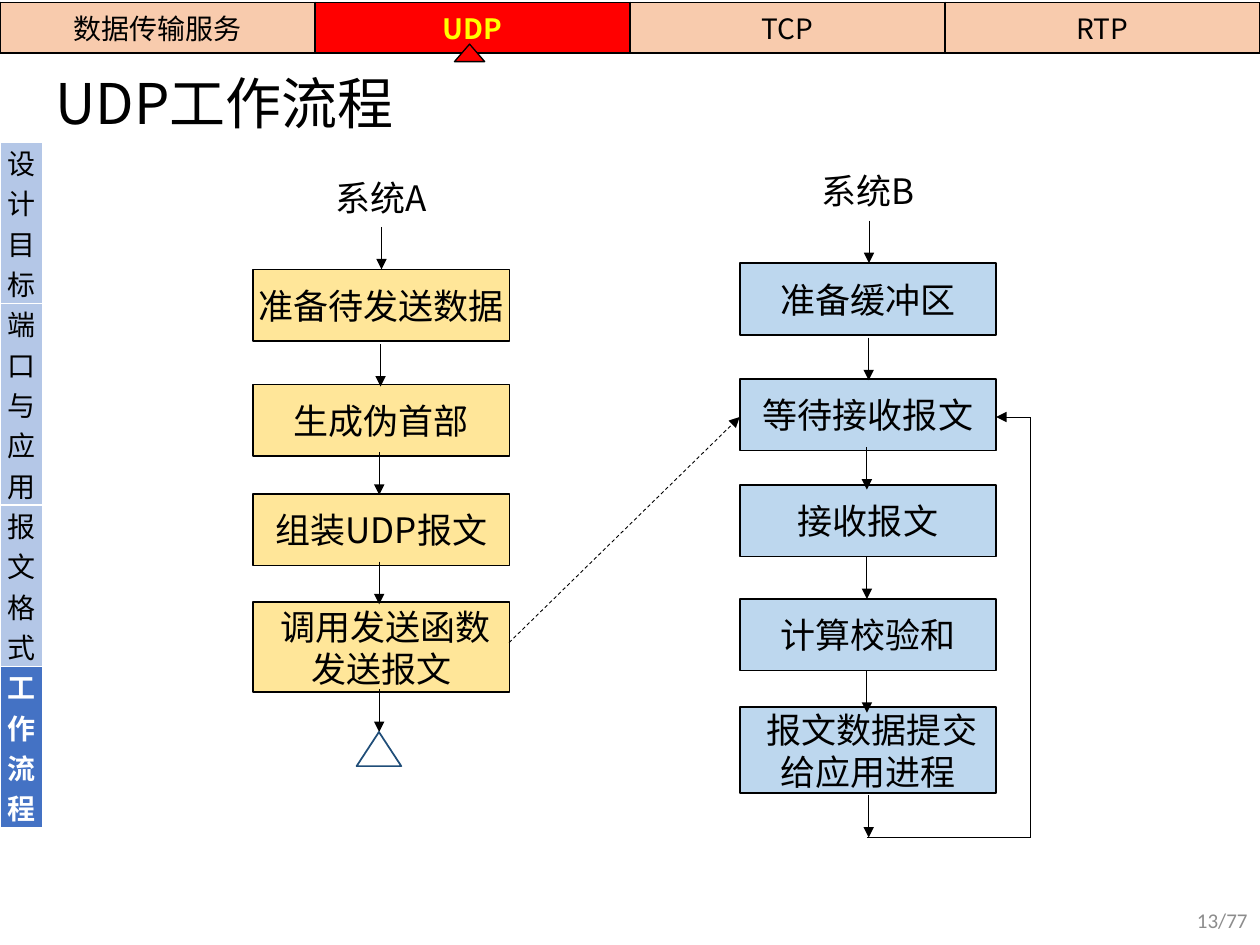
from lxml import etree
from pptx import Presentation
from pptx import util as u
from pptx.dml.color import RGBColor
from pptx.enum import dml, shapes, text
from pptx.oxml import ns

COLORS = {
    "black": "000000", "white": "FFFFFF", "yellow": "FFFF00", "red": "FF0000",
    "peach": "F8CBAD", "pale": "B4C7E7", "blue": "4472C4", "cream": "FFE699",
    "sky": "BDD7EE", "navy": "1F4D78", "gray": "8C8C8C",
}
CJK = "Noto Sans CJK SC"
BOX_W, BOX_H, BOX_INSET = 146.4, 41, 2
ARROW = 24.3


def rgb(name):
    return RGBColor.from_string(COLORS[name])


def sub(parent, tag, **attrs):
    return etree.SubElement(parent, ns.qn(tag), attrs)


def write(tf, content, size=20, color="black", bold=False, font=CJK,
          align=text.PP_ALIGN.CENTER, spacing=None):
    p = tf.paragraphs[0]
    p.alignment = align
    if spacing:
        p.line_spacing = spacing
    r = p.add_run()
    r.text = content
    r.font.size = u.Pt(size)
    r.font.bold = bold
    r.font.name = font
    r.font.color.rgb = rgb(color)
    sub(r._r.get_or_add_rPr(), "a:ea", typeface=font)


class Deck:
    def __init__(self, width, height):
        self.prs = Presentation()
        self.prs.slide_width, self.prs.slide_height = u.Pt(width), u.Pt(height)
        self.s = self.prs.slides.add_slide(self.prs.slide_layouts[6])

    def shape(self, kind, x, y, w, h, fill=None, line="black", weight=1):
        sp = self.s.shapes.add_shape(kind, u.Pt(x), u.Pt(y), u.Pt(w), u.Pt(h))
        sp.shadow.inherit = False
        if fill:
            sp.fill.solid()
            sp.fill.fore_color.rgb = rgb(fill)
        else:
            sp.fill.background()
        sp.line.color.rgb = rgb(line)
        sp.line.width = u.Pt(weight)
        return sp

    def frame(self, sp, side, top):
        tf = sp.text_frame
        tf.word_wrap = True
        tf.vertical_anchor = text.MSO_ANCHOR.MIDDLE
        tf.margin_left = tf.margin_right = u.Pt(side)
        tf.margin_top = tf.margin_bottom = u.Pt(top)
        return tf

    def box(self, content, x, y, fill, h=BOX_H):
        sp = self.shape(shapes.MSO_SHAPE.RECTANGLE, x, y, BOX_W, h, fill)
        write(self.frame(sp, BOX_INSET, 0), content)

    def label(self, content, x, y, w, h, side=7.2, top=3.6, **style):
        sp = self.s.shapes.add_textbox(u.Pt(x), u.Pt(y), u.Pt(w), u.Pt(h))
        write(self.frame(sp, side, top), content, **style)

    def line(self, x1, y1, x2, y2, arrow=True, dash=False):
        c = self.s.shapes.add_connector(
            shapes.MSO_CONNECTOR.STRAIGHT, u.Pt(x1), u.Pt(y1), u.Pt(x2), u.Pt(y2))
        c.line.color.rgb = rgb("black")
        c.line.width = u.Pt(0.5)
        if dash:
            c.line.dash_style = dml.MSO_LINE.DASH
        if arrow:
            sub(c.line._get_or_add_ln(), "a:tailEnd", type="triangle")
        sub(c._element.spPr, "a:effectLst")

    def table(self, rows, x, y, w, h, border):
        tbl = self.s.shapes.add_table(
            len(rows), len(rows[0]), u.Pt(x), u.Pt(y), u.Pt(w), u.Pt(h)).table
        tbl.first_row = tbl.horz_banding = False
        for i, row in enumerate(rows):
            for j, (content, fill, style) in enumerate(row):
                self.cell(tbl.cell(i, j), content, fill, border, style)

    def cell(self, cell, content, fill, border, style):
        cell.margin_left = cell.margin_right = 0
        cell.margin_top = cell.margin_bottom = 0
        cell.vertical_anchor = text.MSO_ANCHOR.MIDDLE
        tc_pr = cell._tc.get_or_add_tcPr()
        for side in "LRTB":
            ln = sub(tc_pr, f"a:ln{side}", w=str(u.Pt(1)))
            sub(sub(ln, "a:solidFill"), "a:srgbClr", val=COLORS[border])
        cell.fill.solid()
        cell.fill.fore_color.rgb = rgb(fill)
        write(cell.text_frame, content, size=16, **style)

    def flow(self, title, x, title_y, boxes, arrows, fill):
        for content, y, h in boxes:
            self.box(content, x, y, fill, h)
        self.label(title, x, title_y, BOX_W, BOX_H, side=BOX_INSET, top=0)
        for ax, ay in arrows:
            self.line(ax, ay, ax, ay + ARROW)


def main():
    deck = Deck(720, 540)
    tabs = [("数据传输服务", "peach", {}),
            ("UDP", "red", {"color": "yellow", "bold": True}),
            ("TCP", "peach", {}), ("RTP", "peach", {})]
    deck.table([tabs], 0, 1.4, 720, 28.8, "black")
    deck.shape(shapes.MSO_SHAPE.FLOWCHART_EXTRACT, 259.7, 25.2, 17.3, 10,
               "red", weight=0.75)

    topics = [("设计目标", "pale", {}), ("端口与应用", "pale", {}),
              ("报文格式", "pale", {}),
              ("工作流程", "blue", {"color": "white", "bold": True})]
    deck.table([[topic] for topic in topics], 0, 81.2, 24.5, 326, "white")

    deck.flow("系统A", 144.7, 92.2,
              [("准备待发送数据", 154, BOX_H), ("生成伪首部", 219.8, BOX_H),
               ("组装UDP报文", 282.2, BOX_H), (" 调用发送函数发送报文", 344.2, 51.2)],
              [(218, 129.6), (217.5, 196.6), (216.7, 258.5), (216.7, 321),
               (216.7, 394)], "cream")
    deck.shape(shapes.MSO_SHAPE.ISOSCELES_TRIANGLE, 203.8, 418.3, 25.5, 19.5,
               line="navy")

    deck.flow("系统B", 422.8, 88.6,
              [("准备缓冲区", 150.5, BOX_H), ("等待接收报文", 216.5, BOX_H),
               ("接收报文", 277, BOX_H), ("计算校验和", 342.2, BOX_H),
               (" 报文数据提交给应用进程", 404, 49.2)],
              [(496.6, 126), (496.4, 193), (495.4, 255.5), (495.4, 318),
               (495.4, 383), (496.4, 454.3)], "sky")

    deck.line(290.9, 367.2, 422.7, 238.3, dash=True)
    deck.line(495.4, 478.6, 589, 478.6, arrow=False)
    deck.line(589, 478.6, 589, 238.3, arrow=False)
    deck.line(589, 238.3, 569.2, 238.3)

    deck.label("UDP工作流程", 24.5, 36, 629.3, 49, size=32,
               align=text.PP_ALIGN.LEFT, spacing=0.9)
    deck.label("13/77", 558, 511.2, 162, 28.8, size=12, color="gray",
               font="Calibri", align=text.PP_ALIGN.RIGHT)
    deck.prs.save("out.pptx")


if __name__ == "__main__":
    main()
